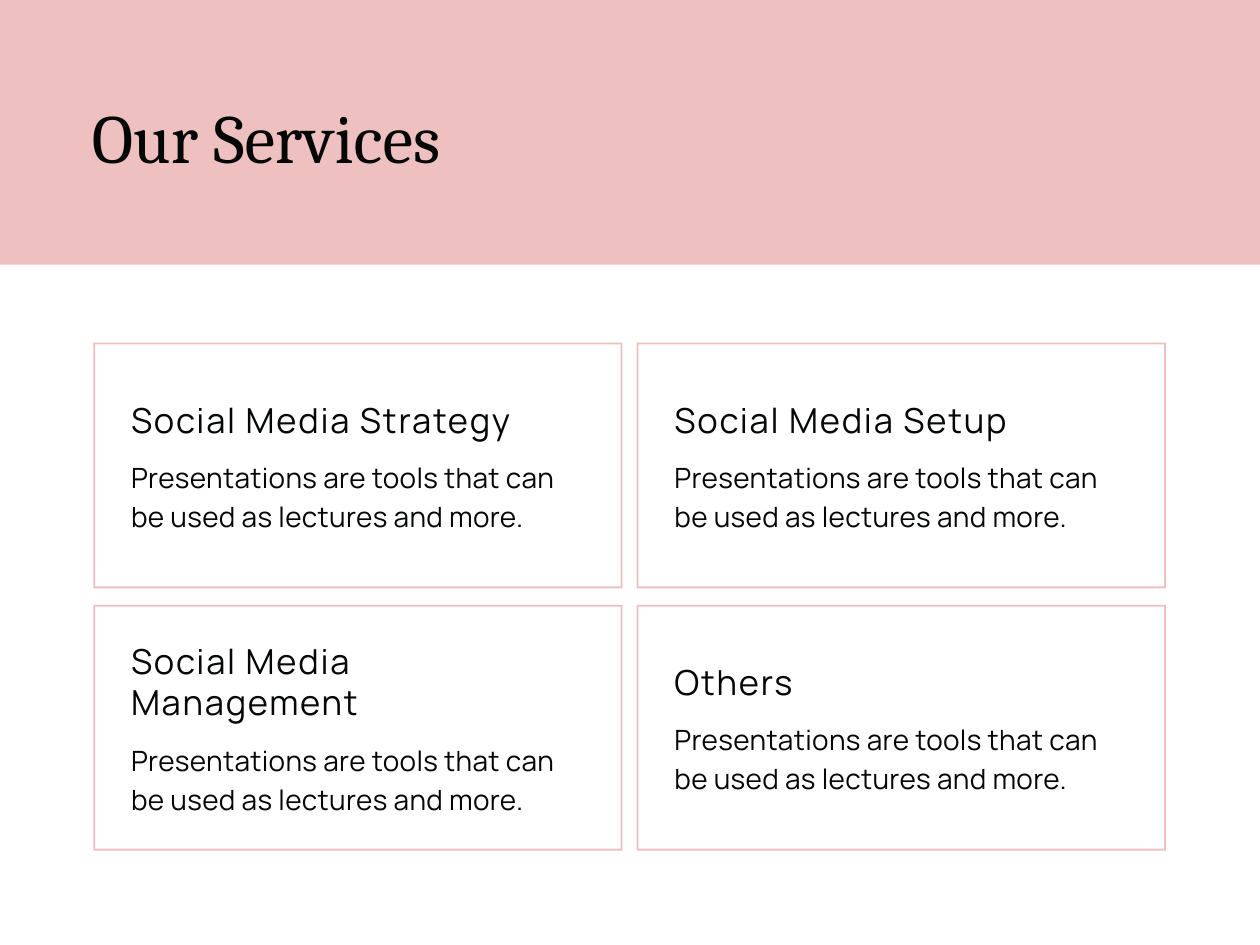
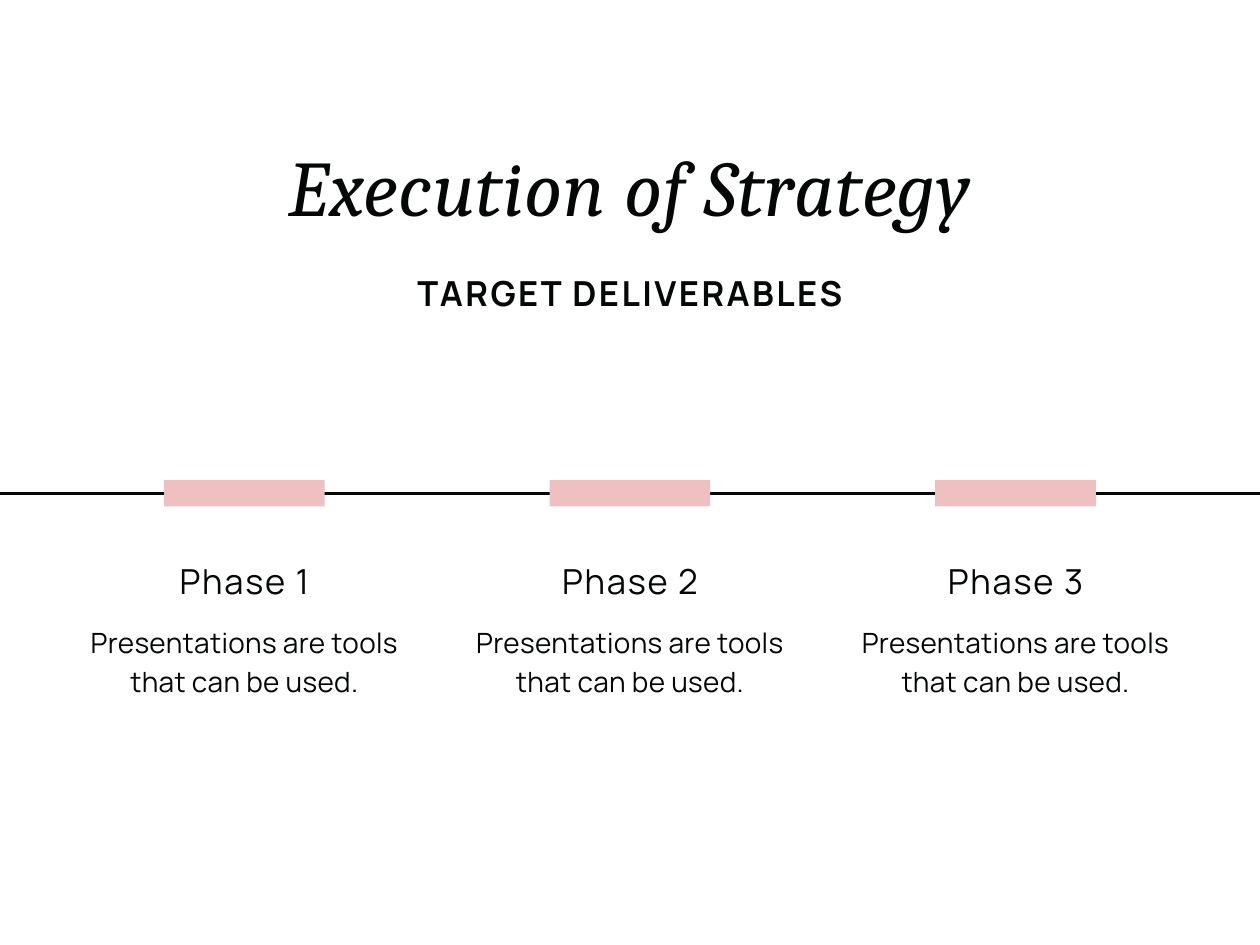
from pptx import Presentation
from pptx.dml.color import RGBColor
from pptx.enum.shapes import MSO_CONNECTOR, MSO_SHAPE
from pptx.enum.text import MSO_AUTO_SIZE, PP_ALIGN
from pptx.oxml.ns import qn
from pptx.util import Inches, Pt
from lxml import etree

PINK = RGBColor(0xEE, 0xC0, 0xBF)
INK = RGBColor(0x05, 0x07, 0x07)
SERIF, SANS = "Cambria", "Manrope"
RECT, LINE = MSO_SHAPE.RECTANGLE, MSO_CONNECTOR.STRAIGHT
GROW = MSO_AUTO_SIZE.SHAPE_TO_FIT_TEXT
LEFT, MID = PP_ALIGN.LEFT, PP_ALIGN.CENTER
WIDE, HIGH = Inches(10.67), Inches(8)
EDGE = Inches(0.015)
HEAD, BODY, GAP = 4.5, 8.13, 1.4


class Deck:
    """Draws styled elements, placed in percent of the slide's width and height."""

    def __init__(self):
        self.prs = Presentation()
        self.prs.slide_width, self.prs.slide_height = WIDE, HIGH
        self.shapes = None

    def page(self):
        self.shapes = self.prs.slides.add_slide(self.prs.slide_layouts[6]).shapes

    def place(self, x, y, w, h):
        return [round(share * size / 100)
                for share, size in zip((x, y, w, h), (WIDE, HIGH) * 2)]

    def paint(self, shape):
        shape.shadow.inherit = False
        shape.fill.solid()
        shape.fill.fore_color.rgb = PINK
        shape.line.fill.background()

    def band(self, x, y, w, h):
        self.paint(self.shapes.add_shape(RECT, *self.place(x, y, w, h)))

    def frame(self, x, y, w, h):
        x, y, w, h = self.place(x, y, w, h)
        pen = self.shapes.build_freeform(x, y)
        pen.add_line_segments([(x, y + h), (x + w, y + h), (x + w, y)])
        x, y, w, h = x + EDGE, y + EDGE, w - 2 * EDGE, h - 2 * EDGE
        pen.move_to(x, y)
        pen.add_line_segments([(x + w, y), (x + w, y + h), (x, y + h)])
        self.paint(pen.convert_to_shape())

    def rule(self, y):
        x, y, w, _ = self.place(0, y, 100, 0)
        line = self.shapes.add_connector(LINE, x, y, x + w, y)
        line.line.color.rgb = INK
        line.line.width = Pt(1.5)
        etree.SubElement(line._element.spPr, qn("a:effectLst"))

    def text(self, words, x, y, w, h, size, face=SANS, lead=1.2, space=0,
             align=LEFT, bold=False, slant=False):
        frame = self.shapes.add_textbox(*self.place(x, y, w, h)).text_frame
        frame.margin_left = frame.margin_right = 0
        frame.margin_top = frame.margin_bottom = 0
        frame.word_wrap = True
        frame.auto_size = GROW
        para = frame.paragraphs[0]
        para.text = words
        para.alignment = align
        para.line_spacing = Pt(lead * size)
        font = para.font
        font.name, font.size = face, Pt(size)
        font.bold, font.italic = bold, slant
        font.color.rgb = INK
        font._rPr.set("spc", str(round(space * 100)))

    def head(self, words, x, y, w, h=HEAD, align=LEFT):
        self.text(words, x, y, w, h, 21, space=1.1, align=align)

    def body(self, words, x, y, w, align=LEFT):
        self.text(words, x, y, w, BODY, 17, lead=1.4, space=0.2, align=align)


def offer(deck):
    deck.page()
    cards = [("Social Media Strategy", 1), ("Social Media Setup", 1),
             ("Social Media Management", 2), ("Others", 1)]
    wide, high = 42, 26
    for i, (name, lines) in enumerate(cards):
        row, col = divmod(i, 2)
        x, y = 7.4 + 43.13 * col, 36.25 + 27.75 * row
        deck.frame(x, y, wide, high)
        tall = HEAD * lines
        top = y + (high - tall - GAP - BODY) / 2
        deck.head(name, x + 3, top, 35.9, tall)
        deck.body("Presentations are tools that can be used as lectures and more.",
                  x + 3, top + tall + GAP, 35.9)
    deck.band(0, 0, 100, 28)
    deck.text("Our Services", 7.3, 10, 85.4, 8.75, 42, SERIF)


def phases(deck):
    deck.page()
    deck.text("Execution of Strategy", 11.45, 14.6, 77.1, 10, 48, SERIF,
              space=0.5, align=MID, slant=True)
    deck.text("TARGET DELIVERABLES", 19.45, 28.75, 61.1, HEAD, 21,
              space=1.5, align=MID, bold=True)
    deck.rule(52.2)
    wide, bar = 27.55, 12.75
    for i in range(3):
        mid = 50 + 30.6 * (i - 1)
        deck.band(mid - bar / 2, 50.8, bar, 2.8)
        deck.head(f"Phase {i + 1}", mid - wide / 2, 59.25, wide, align=MID)
        deck.body("Presentations are tools that can be used.",
                  mid - wide / 2, 65.6, wide, align=MID)


def main():
    deck = Deck()
    offer(deck)
    phases(deck)
    deck.prs.save("out.pptx")


if __name__ == "__main__":
    main()
